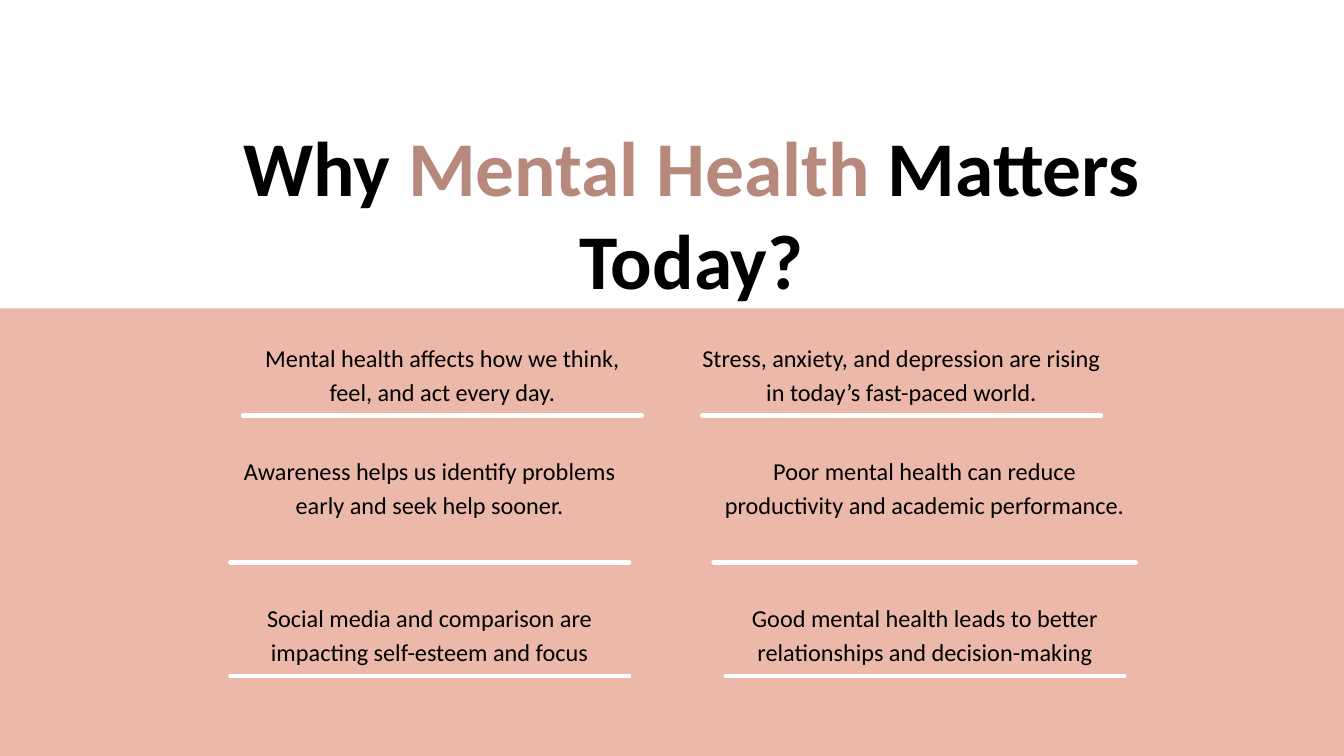
import pptx
import pptx.dml.color
import pptx.enum.shapes
import pptx.enum.text
import pptx.oxml.ns
import pptx.util
from lxml import etree

RGBColor = pptx.dml.color.RGBColor
WHITE = RGBColor(0xFF, 0xFF, 0xFF)
BLACK = RGBColor(0x00, 0x00, 0x00)
BLUSH = RGBColor(0xEB, 0xB8, 0xA9)
ROSE = RGBColor(0xB6, 0x89, 0x7C)

COLUMNS, ROWS = 20, 11.25
REASON_WIDTH = 5.93
RULE_GAP = 0.18

REASON_ROWS = [
    (5.03, 0.97, [
        (3.62, REASON_WIDTH, "Mental health affects how we think, feel, and act every day."),
        (10.45, REASON_WIDTH, "Stress, anxiety, and depression are rising in today’s fast-paced world."),
    ]),
    (6.72, 1.47, [
        (3.43, REASON_WIDTH, "Awareness helps us identify problems early and seek help sooner."),
        (10.62, 6.28, "Poor mental health can reduce productivity and academic performance."),
    ]),
    (8.91, 0.97, [
        (3.43, REASON_WIDTH, "Social media and comparison are impacting self-esteem and focus"),
        (10.8, REASON_WIDTH, "Good mental health leads to better relationships and decision-making"),
    ]),
]


class SlideBuilder:
    font_name = "Calibri"
    line_spacing = 1.4

    def __init__(self, presentation):
        self.width = presentation.slide_width
        self.height = presentation.slide_height
        self.slide = presentation.slides.add_slide(presentation.slide_layouts[6])
        background = self.slide.background.fill
        background.solid()
        background.fore_color.rgb = WHITE

    def x(self, columns):
        return round(self.width * columns / COLUMNS)

    def y(self, rows):
        return round(self.height * rows / ROWS)

    def box(self, left, top, width, height):
        return self.x(left), self.y(top), self.x(width), self.y(height)

    def band(self, top, color):
        band = self.slide.shapes.add_shape(
            pptx.enum.shapes.MSO_SHAPE.RECTANGLE, *self.box(0, top, COLUMNS, ROWS - top))
        band.shadow.inherit = False
        band.fill.solid()
        band.fill.fore_color.rgb = color
        band.line.fill.background()

    def text(self, left, top, width, height, parts, size, spacing, bold=False):
        frame = self.slide.shapes.add_textbox(*self.box(left, top, width, height)).text_frame
        frame.word_wrap = True
        frame.margin_left = frame.margin_right = 0
        frame.margin_top = frame.margin_bottom = 0
        paragraph = frame.paragraphs[0]
        paragraph.alignment = pptx.enum.text.PP_ALIGN.CENTER
        paragraph.line_spacing = pptx.util.Pt(spacing)
        for words, color in parts:
            run = paragraph.add_run()
            run.text = words
            run.font.name = self.font_name
            run.font.size = pptx.util.Pt(size)
            run.font.bold = bold
            run.font.color.rgb = color

    def rule(self, left, top, width):
        rule = self.slide.shapes.add_connector(
            pptx.enum.shapes.MSO_CONNECTOR.STRAIGHT,
            self.x(left), self.y(top), self.x(left + width), self.y(top))
        rule.line.color.rgb = WHITE
        rule.line.width = pptx.util.Pt(5)
        properties = rule.element.spPr
        properties.find(pptx.oxml.ns.qn("a:ln")).set("cap", "rnd")
        etree.SubElement(properties, pptx.oxml.ns.qn("a:effectLst"))

    def reason(self, left, top, width, height, words):
        self.rule(left, top + height + RULE_GAP, width)
        self.text(left, top, width, height, [(words, BLACK)], 26, 36.4)


def main():
    presentation = pptx.Presentation()
    presentation.slide_width = pptx.util.Inches(20)
    presentation.slide_height = pptx.util.Inches(11.25)
    builder = SlideBuilder(presentation)
    builder.band(4.59, BLUSH)
    title = [("Why ", BLACK), ("Mental Health ", ROSE), ("Matters Today?", BLACK)]
    builder.text(2.42, 1.77, 15.74, 2.75, title, 83, 99.6, bold=True)
    for top, height, reasons in REASON_ROWS:
        for left, width, words in reasons:
            builder.reason(left, top, width, height, words)
    presentation.save("out.pptx")


if __name__ == "__main__":
    main()
